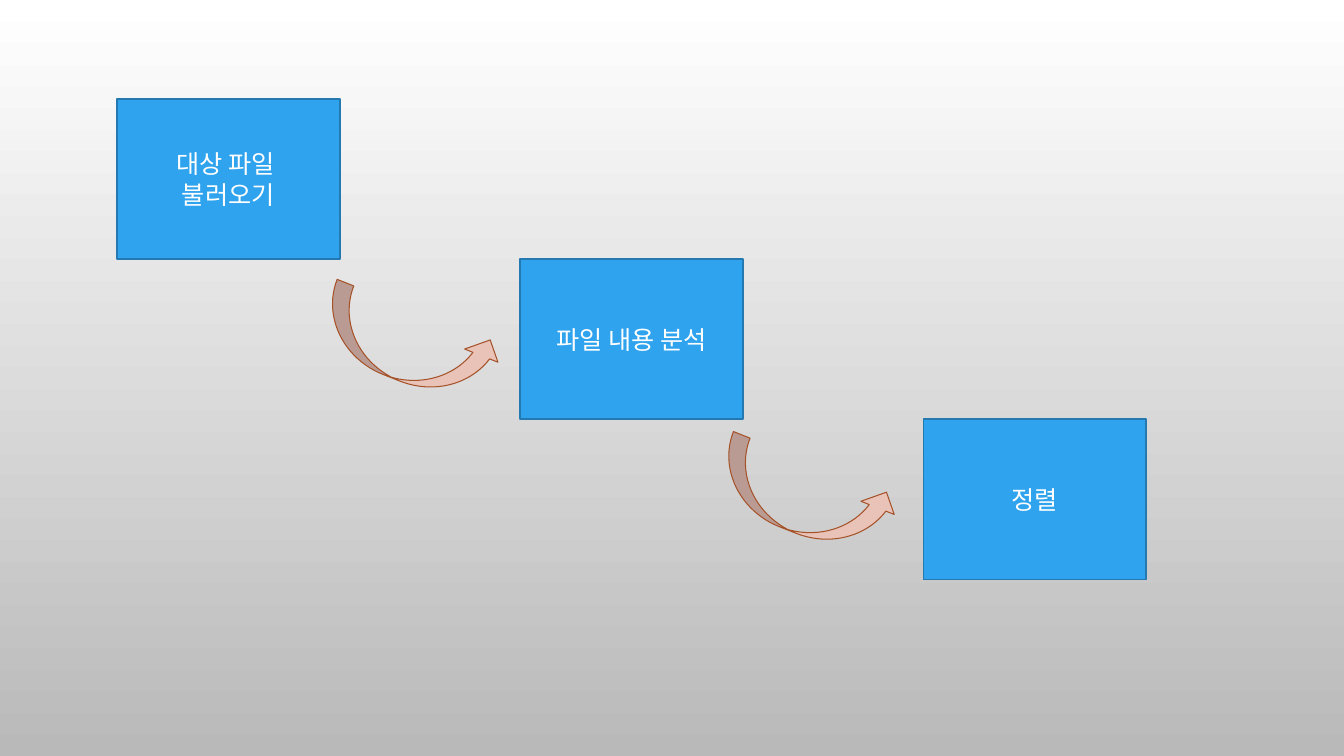
from dataclasses import dataclass

from pptx import Presentation
from pptx import util as u
from pptx.dml.color import RGBColor
from pptx.enum import shapes, text


@dataclass(frozen=True)
class Theme:
    font: str = "Calibri"
    label_size: float = 18
    label: str = "FFFFFF"
    step_fill: str = "2FA3EE"
    step_line: str = "2379B0"
    step_line_width: float = 1.25
    arrow_fill: str = "E9C2B8"
    arrow_line: str = "A55229"
    arrow_line_width: float = 0.75
    background: tuple = ("FFFFFF", "B9B9B9")


class FlowSlide:
    def __init__(self, slide, theme):
        self.slide = slide
        self.theme = theme

    def background(self):
        fill = self.slide.background.fill
        fill.gradient()
        fill.gradient_angle = 270
        for stop, color in zip(fill.gradient_stops, self.theme.background):
            stop.color.rgb = RGBColor.from_string(color)

    def shape(self, kind, box, fill, line, line_width):
        shape = self.slide.shapes.add_shape(kind, *map(u.Inches, box))
        shape.shadow.inherit = False
        shape.fill.solid()
        shape.fill.fore_color.rgb = RGBColor.from_string(fill)
        shape.line.color.rgb = RGBColor.from_string(line)
        shape.line.width = u.Pt(line_width)
        return shape

    def step(self, box, label):
        theme = self.theme
        step = self.shape(shapes.MSO_SHAPE.RECTANGLE, box, theme.step_fill,
                          theme.step_line, theme.step_line_width)
        frame = step.text_frame
        frame.word_wrap = True
        frame.vertical_anchor = text.MSO_ANCHOR.MIDDLE
        frame.text = label
        for paragraph in frame.paragraphs:
            paragraph.alignment = text.PP_ALIGN.CENTER
            paragraph.font.name = theme.font
            paragraph.font.size = u.Pt(theme.label_size)
            paragraph.font.color.rgb = RGBColor.from_string(theme.label)

    def arrow(self, box, rotation):
        theme = self.theme
        arrow = self.shape(shapes.MSO_SHAPE.CURVED_UP_ARROW, box, theme.arrow_fill,
                           theme.arrow_line, theme.arrow_line_width)
        arrow.rotation = rotation


def main():
    deck = Presentation()
    deck.slide_width = u.Inches(13.33)
    deck.slide_height = u.Inches(7.5)
    flow = FlowSlide(deck.slides.add_slide(deck.slide_layouts[6]), Theme())
    flow.background()

    step_width, step_height = 2.21, 1.59
    steps = ["대상 파일 \n불러오기", "파일 내용 분석", "정렬"]
    for i, label in enumerate(steps):
        flow.step((1.16 + 4 * i, 0.98 + step_height * i, step_width, step_height), label)
    for i in range(len(steps) - 1):
        flow.arrow((3.15 + 3.93 * i, 3.08 + 1.51 * i, 1.81, 0.71), 21.6)

    deck.save("out.pptx")


if __name__ == "__main__":
    main()
